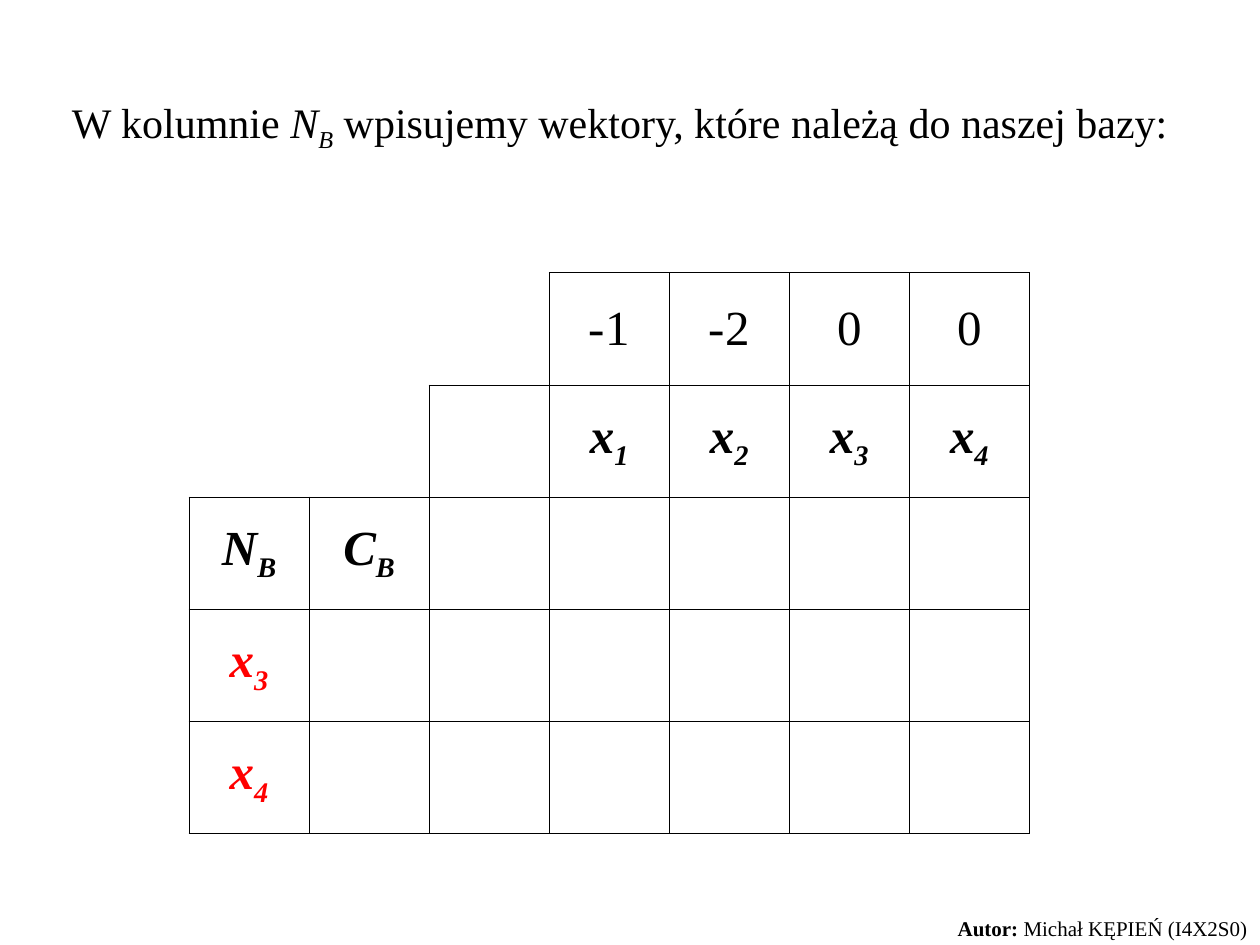
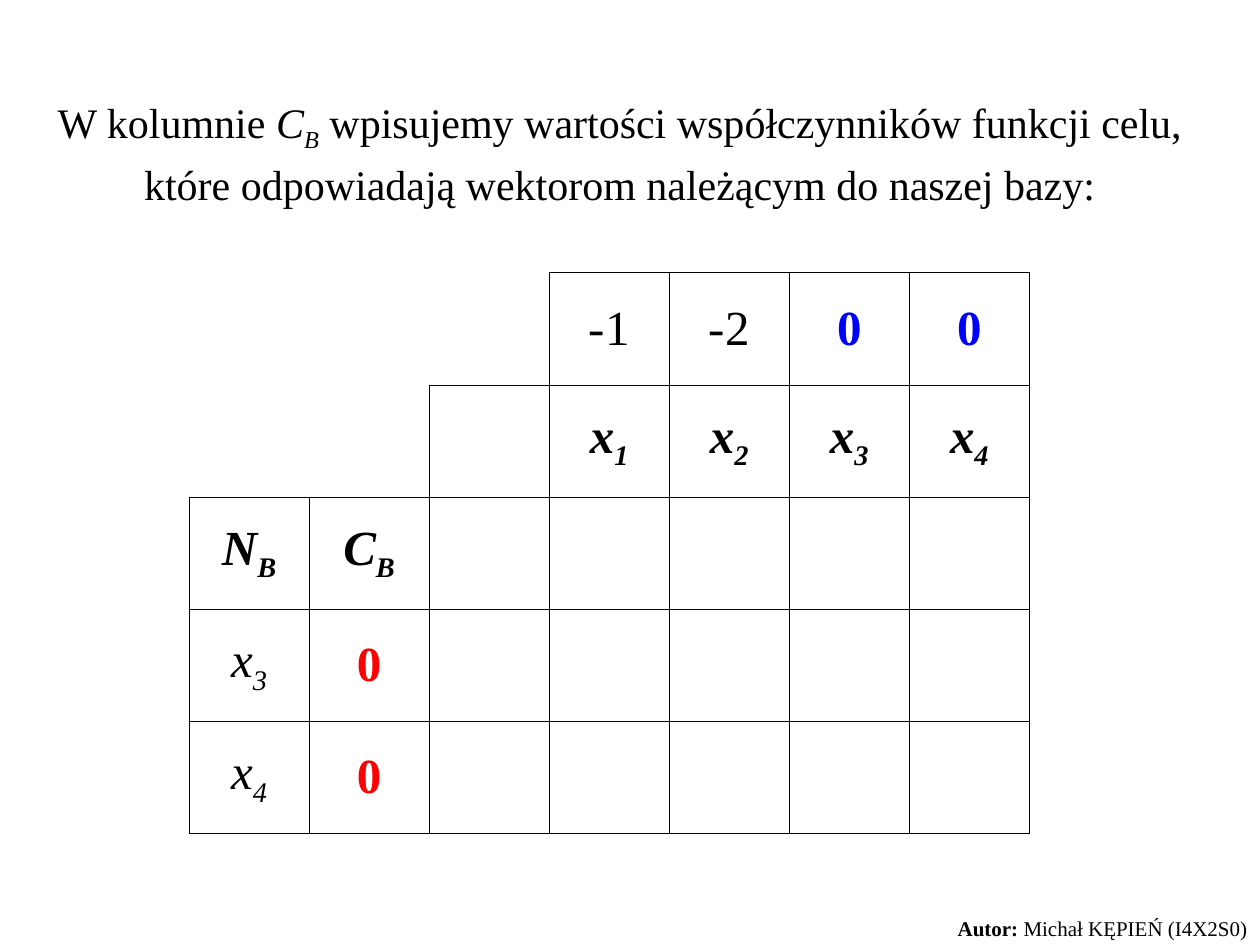
from dataclasses import dataclass, replace

from lxml import etree
from pptx import Presentation
from pptx import util as u
from pptx.dml import color
from pptx.enum import text as t
from pptx.oxml import ns

FONT = "Times New Roman"
BLACK = color.RGBColor(0x00, 0x00, 0x00)
RED = color.RGBColor(0xFF, 0x00, 0x00)
BLUE = color.RGBColor(0x00, 0x00, 0xFF)

TITLE_SIZE, CELL_SIZE, FOOTER_SIZE = u.Pt(24), u.Pt(28), u.Pt(12)
LINE_SPACING = 1.1
BORDER_WIDTH = u.Pt(0.45)
ROWS, COLUMNS = 5, 7
COLUMN_WIDTH, ROW_HEIGHT = u.Cm(2.42), u.Cm(2.26)
FIRST_FRAMED_COLUMN = (3, 2, 0, 0, 0)
TITLE_ONLY_LAYOUT = 5


@dataclass(frozen=True)
class Span:
    text: str
    bold: bool = False
    italic: bool = False
    subscript: bool = False
    colour: color.RGBColor = BLACK


@dataclass(frozen=True)
class Area:
    left: u.Length
    top: u.Length
    width: u.Length
    height: u.Length


@dataclass(frozen=True)
class Step:
    title: tuple[Span, ...]
    title_height: u.Length
    cells: dict[tuple[int, int], tuple[Span, ...]]


FOOTER_AREA = Area(u.Cm(18.63), u.Cm(18.29), u.Cm(6.77), u.Cm(0.76))
FOOTER = (Span("Autor:", bold=True), Span(" Michał KĘPIEŃ (I4X2S0)"))


def symbol(letter: str, index: str, bold: bool = True,
           colour: color.RGBColor = BLACK) -> tuple[Span, ...]:
    base = Span(letter, bold, True, colour=colour)
    return base, replace(base, text=index, subscript=True)


def number(value: str, colour: color.RGBColor = BLACK) -> tuple[Span, ...]:
    return (Span(value, bold=colour != BLACK, colour=colour),)


HEADINGS = {
    (0, 3): number("-1"),
    (0, 4): number("-2"),
    **{(1, 2 + index): symbol("x", str(index)) for index in range(1, 5)},
    (2, 0): symbol("N", "B"),
    (2, 1): symbol("C", "B"),
}

STEPS = (
    Step(
        (Span("W kolumnie "), *symbol("N", "B", bold=False),
         Span(" wpisujemy wektory, które należą do naszej bazy:")),
        u.Cm(1.42),
        {(0, 5): number("0"), (0, 6): number("0"),
         (3, 0): symbol("x", "3", colour=RED),
         (4, 0): symbol("x", "4", colour=RED)},
    ),
    Step(
        (Span("W kolumnie "), *symbol("C", "B", bold=False),
         Span(" wpisujemy wartości współczynników funkcji celu, "
              "które odpowiadają wektorom należącym do naszej bazy:")),
        u.Cm(2.44),
        {(0, 5): number("0", BLUE), (0, 6): number("0", BLUE),
         (3, 0): symbol("x", "3", bold=False),
         (4, 0): symbol("x", "4", bold=False),
         (3, 1): number("0", RED), (4, 1): number("0", RED)},
    ),
)


def write(para, spans: tuple[Span, ...], size: u.Length, align) -> None:
    para.alignment = align
    para.space_before = u.Pt(0)
    for span in spans:
        run = para.add_run()
        run.text = span.text
        run.font.name = FONT
        run.font.size = size
        run.font.bold = span.bold
        run.font.italic = span.italic
        run.font.color.rgb = span.colour
        if span.subscript:
            run.font._element.set("baseline", "-25000")


def fill_box(box, area: Area, spans: tuple[Span, ...], size: u.Length, align) -> None:
    box.left, box.top = area.left, area.top
    box.width, box.height = area.width, area.height
    frame = box.text_frame
    frame.word_wrap = True
    frame.auto_size = t.MSO_AUTO_SIZE.NONE
    frame.vertical_anchor = t.MSO_ANCHOR.TOP
    para = frame.paragraphs[0]
    write(para, spans, size, align)
    para.line_spacing = LINE_SPACING


def is_framed(row: int, column: int) -> bool:
    inside = 0 <= row < ROWS and 0 <= column < COLUMNS
    return inside and column >= FIRST_FRAMED_COLUMN[row]


def draw_borders(cell, row: int, column: int) -> None:
    properties = cell._tc.get_or_add_tcPr()
    neighbours = {"lnL": (row, column - 1), "lnR": (row, column + 1),
                  "lnT": (row - 1, column), "lnB": (row + 1, column)}
    for side, neighbour in neighbours.items():
        line = etree.SubElement(properties, ns.qn(f"a:{side}"), w=str(BORDER_WIDTH))
        if is_framed(row, column) or is_framed(*neighbour):
            fill = etree.SubElement(line, ns.qn("a:solidFill"))
            etree.SubElement(fill, ns.qn("a:srgbClr"), val=str(BLACK))
        else:
            etree.SubElement(line, ns.qn("a:noFill"))


def add_tableau(page, cells: dict[tuple[int, int], tuple[Span, ...]]) -> None:
    table = page.shapes.add_table(
        ROWS, COLUMNS, u.Cm(3.81), u.Cm(5.5),
        COLUMNS * COLUMN_WIDTH, ROWS * ROW_HEIGHT).table
    table.first_row = table.horz_banding = False
    for column in table.columns:
        column.width = COLUMN_WIDTH
    for row in table.rows:
        row.height = ROW_HEIGHT
    for row in range(ROWS):
        for column in range(COLUMNS):
            cell = table.cell(row, column)
            draw_borders(cell, row, column)
            cell.fill.background()
            cell.vertical_anchor = t.MSO_ANCHOR.MIDDLE
            write(cell.text_frame.paragraphs[0], cells.get((row, column), ()),
                  CELL_SIZE, t.PP_ALIGN.CENTER)


def add_step(deck, step: Step) -> None:
    page = deck.slides.add_slide(deck.slide_layouts[TITLE_ONLY_LAYOUT])
    title_area = Area(u.Cm(0.64), u.Cm(1.7), u.Cm(23.71), step.title_height)
    fill_box(page.shapes.title, title_area, step.title, TITLE_SIZE, t.PP_ALIGN.CENTER)
    add_tableau(page, HEADINGS | step.cells)
    footer = page.shapes.add_textbox(0, 0, 0, 0)
    fill_box(footer, FOOTER_AREA, FOOTER, FOOTER_SIZE, t.PP_ALIGN.RIGHT)


def main() -> None:
    deck = Presentation()
    deck.slide_width, deck.slide_height = u.Cm(25.4), u.Cm(19.05)
    for step in STEPS:
        add_step(deck, step)
    deck.save("out.pptx")


if __name__ == "__main__":
    main()
